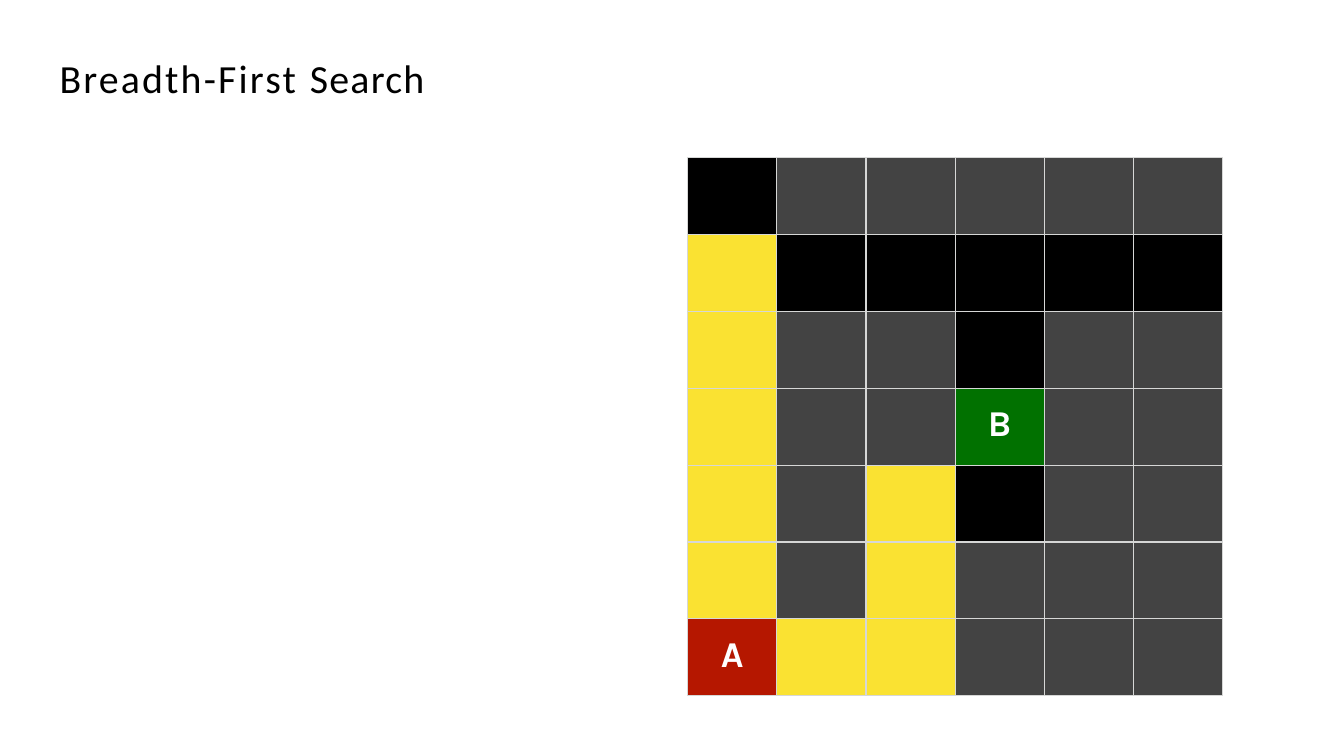
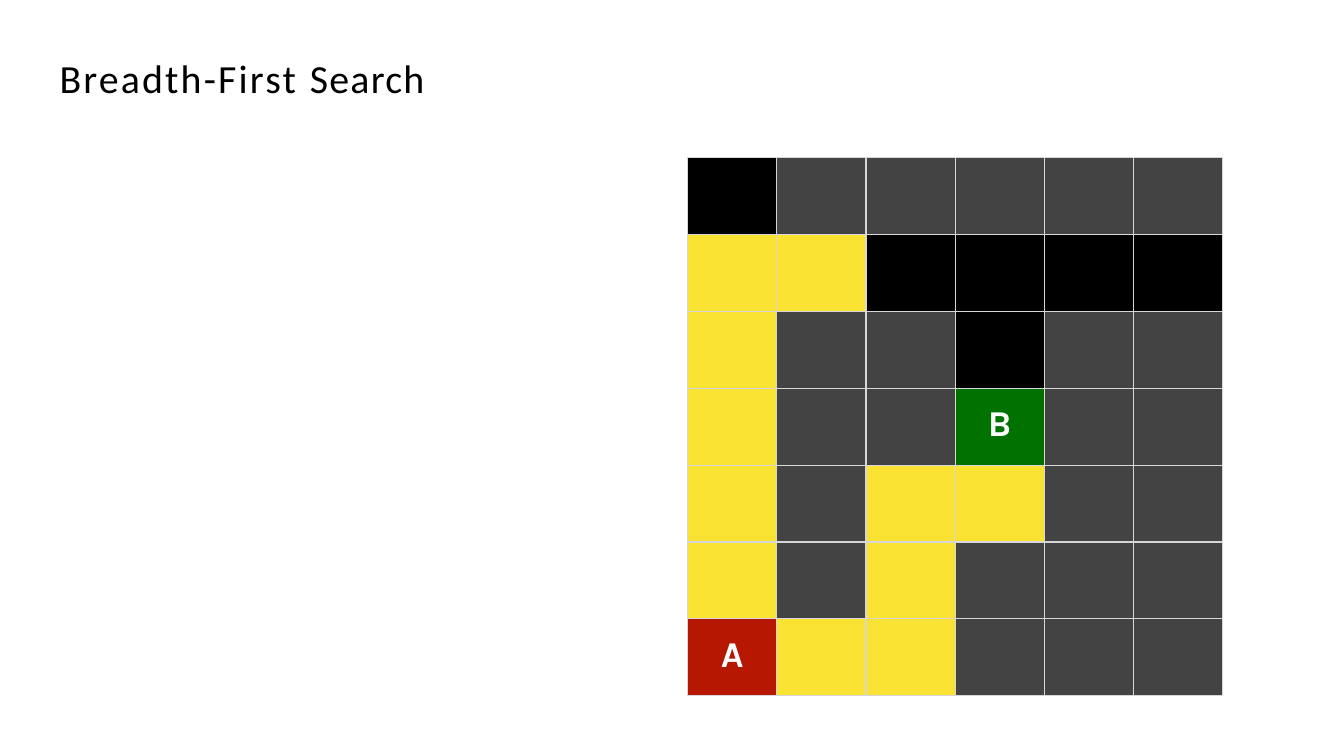
"""Builds two slides showing breadth-first search exploring a maze."""
from dataclasses import dataclass

from lxml import etree
from pptx import Presentation
from pptx.dml.color import RGBColor
from pptx.enum.text import MSO_ANCHOR, MSO_AUTO_SIZE, PP_ALIGN
from pptx.oxml.ns import qn
from pptx.util import Pt

LEFT = PP_ALIGN.LEFT
CENTER = PP_ALIGN.CENTER
TOP = MSO_ANCHOR.TOP
MIDDLE = MSO_ANCHOR.MIDDLE
FIT_SHAPE = MSO_AUTO_SIZE.SHAPE_TO_FIT_TEXT

TITLE_ONLY = 5
BLACK, WHITE = "000000", "FFFFFF"
BORDER, EXPLORED = "D6D7D6", "FAE232"
FILLS = {"#": "434343", ".": BLACK, "A": "B51700", "B": "017100"}
TITLE_RUNS = (("Breadth-First ", 1.6), ("Search", 0.9))

MAZE = (
    ".#####",
    "......",
    ".##.##",
    ".##B##",
    ".#..##",
    ".#.###",
    "A..###",
)
MAZE_LEFT, MAZE_TOP = 491.1, 112.7
CELL_W, CELL_H = 63.75, 54.9


@dataclass(frozen=True)
class Step:
    """One stage of the search, with its explored (row, column) cells."""

    explored: frozenset[tuple[int, int]]


LEFT_PATH = {(row, 0) for row in range(1, 6)}
RIGHT_PATH = {(6, 1), (6, 2), (5, 2), (4, 2)}
FIRST = frozenset(LEFT_PATH | RIGHT_PATH)
STEPS = (Step(FIRST), Step(FIRST | {(1, 1), (4, 3)}))


def rgb(value: str) -> RGBColor:
    """Return the colour for a hex string."""
    return RGBColor.from_string(value)


def format_run(r, font: str, size: float, color: str, bold: bool = False) -> None:
    """Apply the font settings to a run."""
    r.font.name = font
    r.font.size = Pt(size)
    r.font.bold = bold
    r.font.color.rgb = rgb(color)


def set_borders(cell, color: str, width: float) -> None:
    """Draw the same line on all four sides of a cell."""
    tc_pr = cell._tc.get_or_add_tcPr()
    for i, side in enumerate(("a:lnL", "a:lnR", "a:lnT", "a:lnB")):
        ln = etree.Element(qn(side), w=str(Pt(width)))
        fill = etree.SubElement(ln, qn("a:solidFill"))
        etree.SubElement(fill, qn("a:srgbClr"), val=color)
        tc_pr.insert(i, ln)


def set_label(cell, text: str) -> None:
    """Write a bold centred letter in a cell."""
    cell.margin_left = cell.margin_right = cell.margin_bottom = Pt(0)
    cell.margin_top = Pt(10.8)
    cell.vertical_anchor = TOP
    p = cell.text_frame.paragraphs[0]
    p.text = text
    p.alignment = CENTER
    p.space_before = Pt(18)
    format_run(p.runs[0], "Karla", 26, WHITE, bold=True)


def add_title(s) -> None:
    """Place and format the slide title."""
    sp = s.shapes.title
    sp.left, sp.top, sp.width, sp.height = Pt(41.8), Pt(37.4), Pt(291.6), Pt(35.3)
    tf = sp.text_frame
    tf.word_wrap = True
    tf.auto_size = FIT_SHAPE
    tf.vertical_anchor = MIDDLE
    tf.margin_left = tf.margin_top = Pt(0.72)
    tf.margin_right = tf.margin_bottom = Pt(0)
    p = tf.paragraphs[0]
    p.alignment = LEFT
    p.space_before = Pt(0.6)
    for text, spacing in TITLE_RUNS:
        r = p.add_run()
        r.text = text
        format_run(r, "Calibri", 28.5, BLACK)
        r._r.get_or_add_rPr().set("spc", str(round(spacing * 100)))


def add_maze(s, step: Step) -> None:
    """Draw the maze as a table with the explored cells highlighted."""
    rows, cols = len(MAZE), len(MAZE[0])
    table = s.shapes.add_table(
        rows, cols, Pt(MAZE_LEFT), Pt(MAZE_TOP), Pt(CELL_W * cols), Pt(CELL_H * rows)
    ).table
    table.first_row = table.horz_banding = False
    for column in table.columns:
        column.width = Pt(CELL_W)
    for i, line in enumerate(MAZE):
        table.rows[i].height = Pt(CELL_H)
        for j, mark in enumerate(line):
            cell = table.cell(i, j)
            cell.fill.solid()
            color = EXPLORED if (i, j) in step.explored else FILLS[mark]
            cell.fill.fore_color.rgb = rgb(color)
            set_borders(cell, BORDER, 1)
            if mark.isalpha():
                set_label(cell, mark)


def main() -> None:
    """Build and save the presentation."""
    prs = Presentation()
    prs.slide_width, prs.slide_height = Pt(960), Pt(540)
    for step in STEPS:
        s = prs.slides.add_slide(prs.slide_layouts[TITLE_ONLY])
        add_maze(s, step)
        add_title(s)
    prs.save("out.pptx")


if __name__ == "__main__":
    main()
